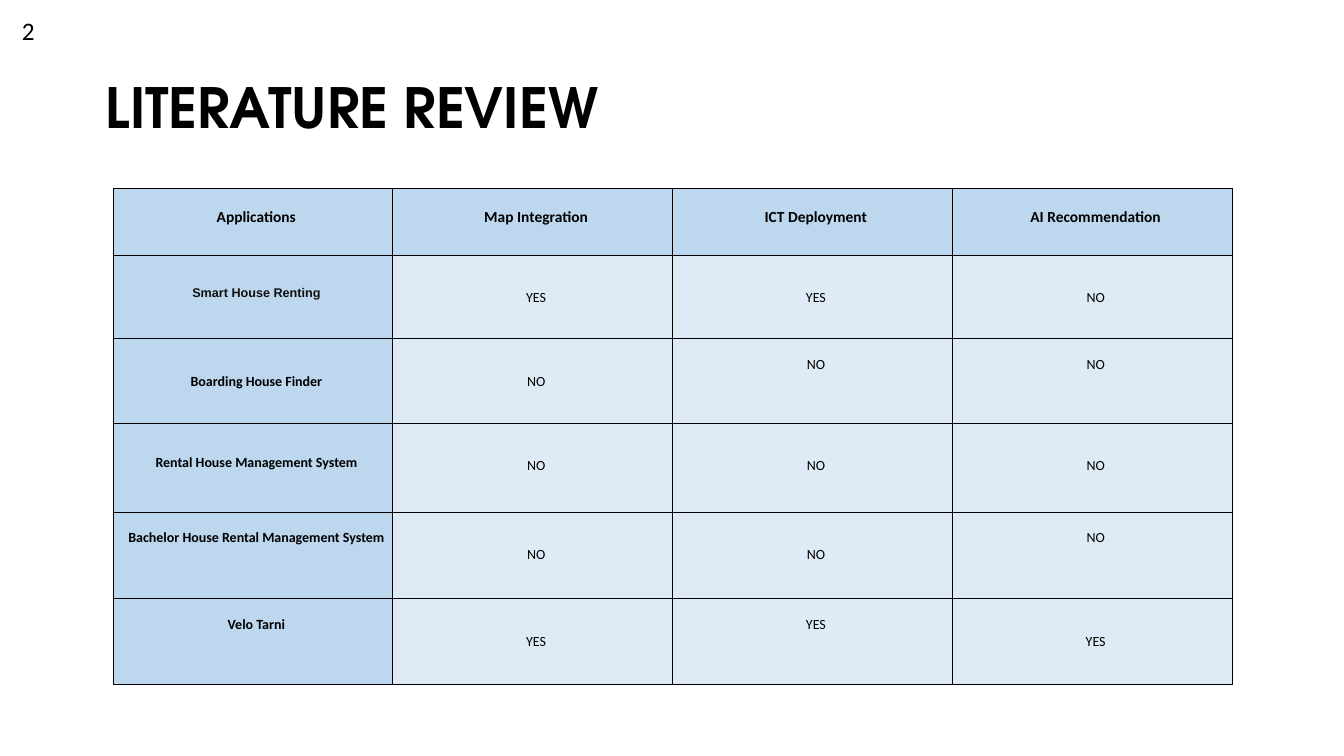
from lxml.etree import SubElement
from pptx import Presentation
from pptx.dml.color import RGBColor
from pptx.enum.text import MSO_ANCHOR, PP_ALIGN
from pptx.oxml.ns import qn
from pptx.util import Inches, Pt

# Content: each table cell is (text, distance from the cell top in inches)
PAGE_NUMBER = "2"
TITLE = "LITERATURE REVIEW"
HEAD, HIGH, LOW = 0.19, 0.17, 0.34
ROWS = [
    [("Applications", HEAD), ("Map Integration", HEAD),
     ("ICT Deployment", HEAD), ("AI Recommendation", HEAD)],
    [("Smart House Renting", 0.31), ("YES", LOW), ("YES", LOW), ("NO", LOW)],
    [("Boarding House Finder", LOW), ("NO", LOW), ("NO", HIGH), ("NO", HIGH)],
    [("Rental House Management System", 0.31), ("NO", LOW), ("NO", LOW), ("NO", LOW)],
    [("Bachelor House Rental Management System", HIGH), ("NO", LOW), ("NO", LOW), ("NO", HIGH)],
    [("Velo Tarni", HIGH), ("YES", LOW), ("YES", HIGH), ("YES", LOW)],
]
ROW_HEIGHTS = [0.66, 0.83, 0.84, 0.88, 0.86, 0.85]
TABLE_LEFT, TABLE_TOP, TABLE_WIDTH = 1.12, 1.87, 11.1
THICK_SIDES = {(1, 1): "R", (1, 2): "L"}
ARIAL_CELL = (1, 0)

THEME = {
    "black": "000000", "soft_black": "111111", "border": "000008",
    "label_fill": "BDD7EE", "value_fill": "DEEBF7",
    "title_font": "TeX Gyre Adventor", "body_font": "Calibri", "accent_font": "Arial",
    "title_size": 39.6, "number_size": 18, "header_size": 11, "cell_size": 10,
    "accent_size": 9, "thin": 0.5, "thick": 1,
}


def style_text(para, font, size, color="black", bold=False):
    for span in para.runs:
        span.font.name = THEME[font]
        span.font.size = Pt(THEME[size])
        span.font.bold = bold
        span.font.color.rgb = RGBColor.from_string(THEME[color])


def add_text(page, text, left, top, width, height, anchor):
    box = page.shapes.add_textbox(Inches(left), Inches(top), Inches(width), Inches(height))
    box.text_frame.word_wrap = True
    box.text_frame.vertical_anchor = anchor
    box.text_frame.text = text
    return box.text_frame.paragraphs[0]


def add_borders(cell, thick_side):
    properties = cell._tc.get_or_add_tcPr()
    for side in "LRTB":
        thick = side == thick_side
        width = Pt(THEME["thick" if thick else "thin"])
        line = SubElement(properties, qn(f"a:ln{side}"), w=str(width))
        fill = SubElement(line, qn("a:solidFill"))
        SubElement(fill, qn("a:srgbClr"), val=THEME["black" if thick else "border"])


def fill_cell(cell, row, column, text, top):
    is_label = row == 0 or column == 0
    add_borders(cell, THICK_SIDES.get((row, column)))
    cell.fill.solid()
    cell.fill.fore_color.rgb = RGBColor.from_string(
        THEME["label_fill" if is_label else "value_fill"])
    cell.margin_left, cell.margin_right = Inches(0.14), Inches(0.07)
    cell.margin_top, cell.margin_bottom = Inches(top), 0
    cell.vertical_anchor = MSO_ANCHOR.TOP
    cell.text_frame.text = text
    para = cell.text_frame.paragraphs[0]
    para.alignment = PP_ALIGN.CENTER
    if (row, column) == ARIAL_CELL:
        style_text(para, "accent_font", "accent_size", "soft_black", True)
    else:
        style_text(para, "body_font", "cell_size" if row else "header_size", bold=is_label)


def main():
    deck = Presentation()
    deck.slide_width, deck.slide_height = Inches(13.33), Inches(7.5)
    page = deck.slides.add_slide(deck.slide_layouts[6])

    # Title and page number
    title = add_text(page, TITLE, 0.95, 0.76, 5.9, 0.67, MSO_ANCHOR.MIDDLE)
    title.line_spacing = 0.9
    style_text(title, "title_font", "title_size", bold=True)
    number = add_text(page, PAGE_NUMBER, 0.12, 0.1, 3, 0.4, MSO_ANCHOR.TOP)
    style_text(number, "body_font", "number_size")

    # Comparison table
    table = page.shapes.add_table(
        len(ROWS), len(ROWS[0]), Inches(TABLE_LEFT), Inches(TABLE_TOP),
        Inches(TABLE_WIDTH), Inches(sum(ROW_HEIGHTS))).table
    table.first_row = table.horz_banding = False
    for row, (height, cells) in enumerate(zip(ROW_HEIGHTS, ROWS)):
        table.rows[row].height = Inches(height)
        for column, (text, top) in enumerate(cells):
            fill_cell(table.cell(row, column), row, column, text, top)

    deck.save("out.pptx")


if __name__ == "__main__":
    main()
